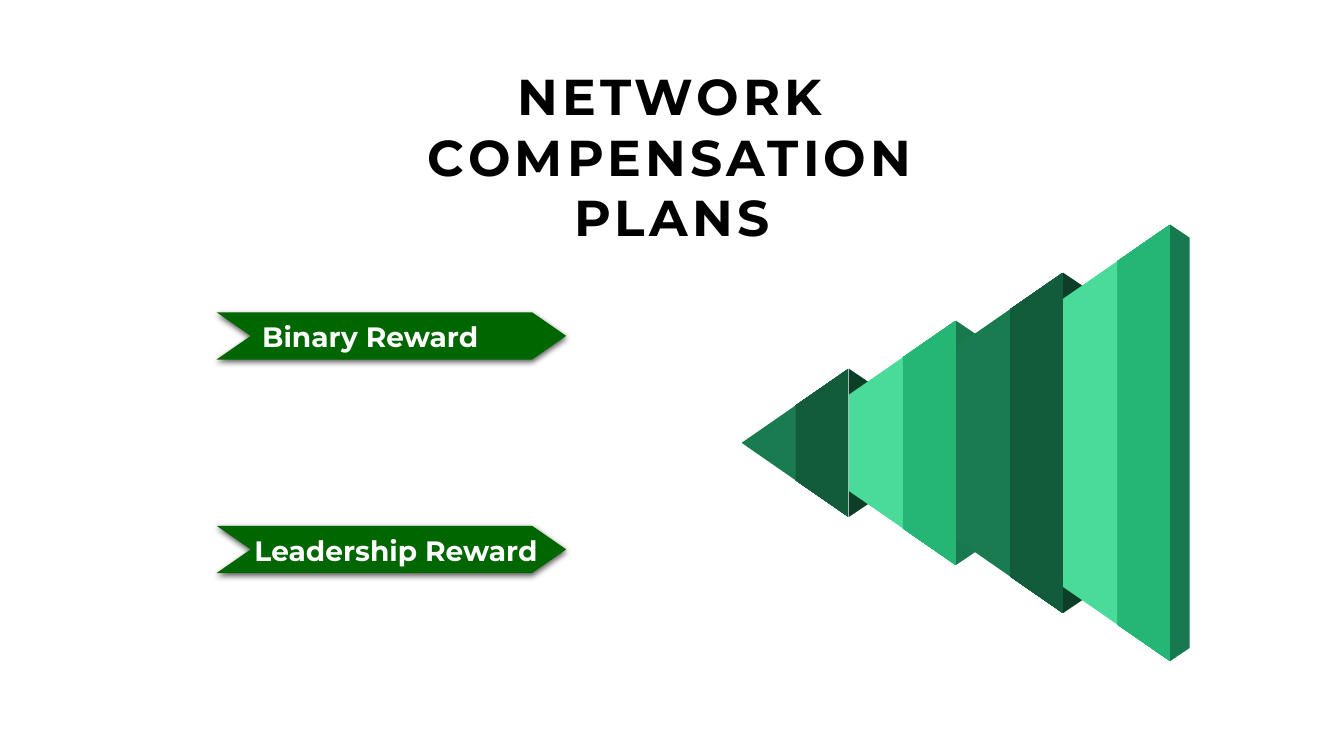
from dataclasses import dataclass

from lxml.etree import SubElement
from pptx import Presentation
from pptx.dml.color import RGBColor
from pptx.enum.text import MSO_ANCHOR, MSO_AUTO_SIZE, PP_ALIGN
from pptx.oxml.ns import qn
from pptx.util import Cm, Pt


@dataclass(frozen=True)
class Theme:
    """Colours and type of the slide."""
    font: str = "Montserrat"
    ink: str = "000000"
    paper: str = "FFFFFF"
    ribbon: str = "006600"
    sides: tuple = ("0C3E28", "19794E")
    faces: tuple = (("197B4F", "135C3B"), ("4ADA99", "25B675"))
    head: int = 36
    label: int = 20
    track: int = 300


THEME = Theme()


def rgb(code):
    """Turn a hex code into a colour."""
    return RGBColor.from_string(code)


def add_form(shapes, points):
    """Draw a closed outline through points in centimetres, with no line."""
    first, *rest = [(Cm(x), Cm(y)) for x, y in points]
    pen = shapes.build_freeform(*first)
    pen.add_line_segments(rest, close=True)
    form = pen.convert_to_shape()
    form.shadow.inherit = False
    form.line.fill.background()
    return form


def fill_plain(form, code):
    """Fill a shape with one colour."""
    form.fill.solid()
    form.fill.fore_color.rgb = rgb(code)


def fill_split(form, codes):
    """Fill a shape with two colours that meet in the middle."""
    form.fill.gradient()
    form.fill.gradient_angle = 0
    for stop, place, code in zip(form.fill.gradient_stops, (0.5, 0.51), codes):
        stop.position = place
        stop.color.rgb = rgb(code)


def add_shade(form):
    """Cast a soft shadow straight down."""
    effects = form._element.spPr.find(qn("a:effectLst"))
    shade = SubElement(effects, qn("a:outerShdw"), blurRad=str(Pt(4.5)),
                       dist=str(Pt(1.5)), dir="5400000", algn="ctr", rotWithShape="0")
    color = SubElement(shade, qn("a:srgbClr"), val=THEME.ink)
    SubElement(color, qn("a:alpha"), val="63000")


def set_text(shape, text, size, code):
    """Write bold centred text and return its run."""
    frame = shape.text_frame
    frame.text = text
    frame.word_wrap = True
    frame.auto_size = MSO_AUTO_SIZE.SHAPE_TO_FIT_TEXT
    frame.vertical_anchor = MSO_ANCHOR.TOP
    line = frame.paragraphs[0]
    line.alignment = PP_ALIGN.CENTER
    run = line.runs[0]
    run.font.name = THEME.font
    run.font.size = Pt(size)
    run.font.bold = True
    run.font.color.rgb = rgb(code)
    return run


def set_title(title, text):
    """Place the title and space out its letters."""
    title.left, title.top, title.width, title.height = Cm(8.66), Cm(1.65), Cm(16.54), Cm(4.62)
    run = set_text(title, text, THEME.head, THEME.ink)
    run.font._element.set("spc", str(THEME.track))
    frame = title.text_frame
    frame.margin_left = frame.margin_right = frame.margin_top = frame.margin_bottom = 0


def add_cone(shapes, count=4):
    """Draw the stepped cone: the sides first, then the faces over them."""
    tip, mid, step, grow, rise = 18.69, 11.16, 2.7, 1.21, 1.87
    depth, inset = 0.49, 0.33
    for i in range(count):
        x, half = tip + step * (i + 1), rise + grow * i
        low = half - inset
        side = add_form(shapes, [(x, mid - half), (x + depth, mid - low),
                                 (x + depth, mid + low), (x, mid + half)])
        fill_plain(side, THEME.sides[i % 2])
    for i in range(count):
        x, back, half = tip + step * i, grow * i, rise + grow * i
        face = add_form(shapes, [(x, mid - back), (x + step, mid - half),
                                 (x + step, mid + half), (x, mid + back)])
        fill_split(face, THEME.faces[i % 2])


def add_ribbon(shapes, text, top, left, width):
    """Draw a notched ribbon and its label."""
    start, end, tall, notch = 5.46, 14.27, 1.19, 0.86
    mid, base = top + tall / 2, top + tall
    ribbon = add_form(shapes, [(start, top), (end - notch, top), (end, mid),
                               (end - notch, base), (start, base), (start + notch, mid)])
    fill_plain(ribbon, THEME.ribbon)
    add_shade(ribbon)
    label = shapes.add_textbox(Cm(left), Cm(top + 0.06), Cm(width), Cm(1.11))
    set_text(label, text, THEME.label, THEME.paper)


def main():
    """Build the slide and save it."""
    deck = Presentation()
    deck.slide_width, deck.slide_height = Cm(33.87), Cm(19.05)
    slide = deck.slides.add_slide(deck.slide_layouts[5])
    set_title(slide.shapes.title, "NETWORK COMPENSATION PLANS")
    add_cone(slide.shapes.add_group_shape().shapes)
    ribbons = slide.shapes.add_group_shape().shapes
    add_ribbon(ribbons, "Binary Reward", 7.87, 6.17, 6.32)
    add_ribbon(ribbons, "Leadership Reward", 13.25, 5.94, 8.08)
    deck.save("out.pptx")


if __name__ == "__main__":
    main()
